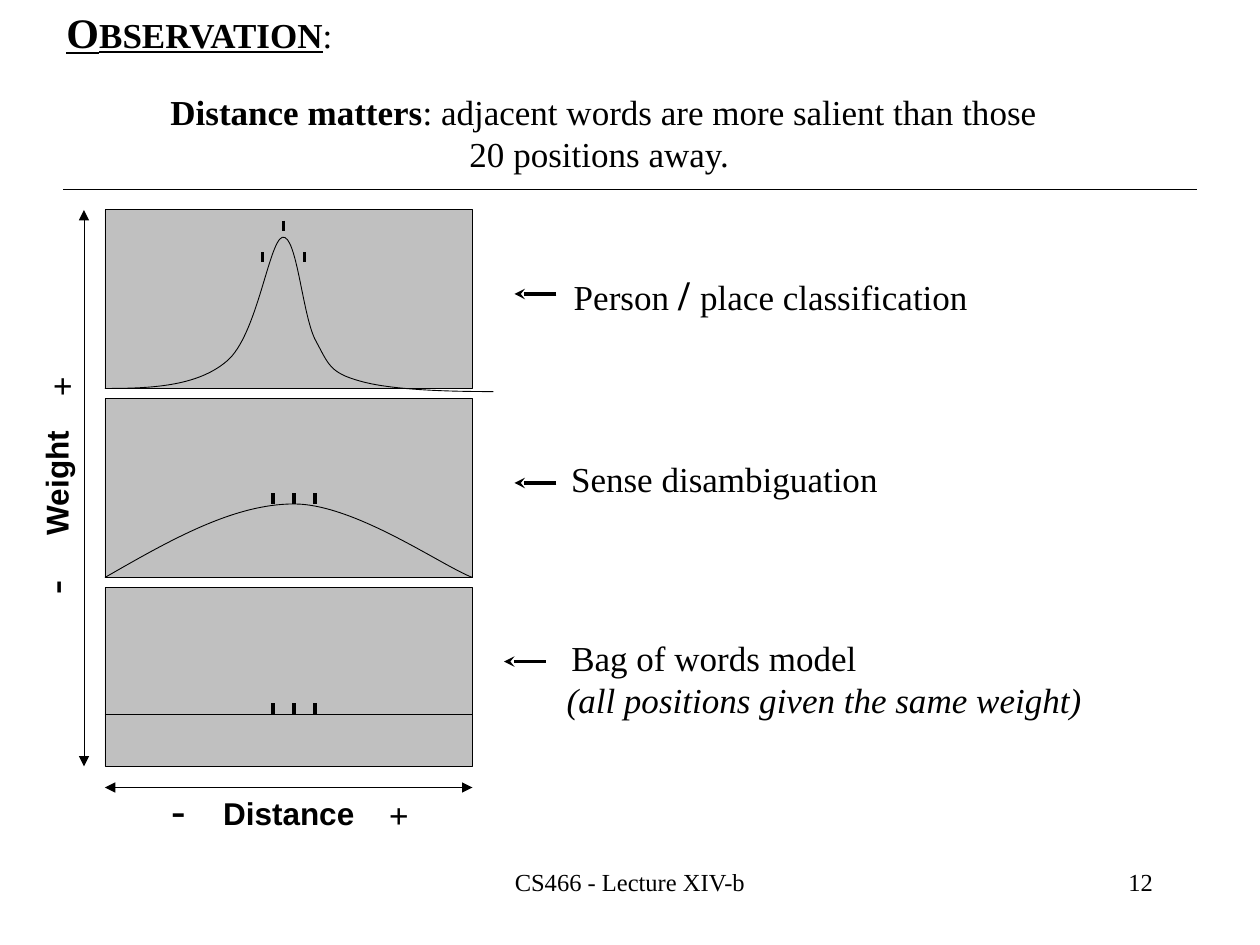
import dataclasses
import typing

import pptx
import pptx.dml.color
import pptx.enum.shapes
import pptx.enum.text
import pptx.oxml.ns
import pptx.util
from lxml import etree

PX = 7620  # EMU in one px, 120 px to the inch
BLACK = pptx.dml.color.RGBColor(0, 0, 0)
GREY = pptx.dml.color.RGBColor(0xC0, 0xC0, 0xC0)
SERIF, SANS = "Times New Roman", "Arial"
ALIGN = pptx.enum.text.PP_ALIGN
Point = tuple[int, int]

PLAIN = {"name": SERIF, "size": 20, "bold": False}
BOLD = PLAIN | {"bold": True}
LARGE = BOLD | {"size": 24}
AXIS = BOLD | {"name": SANS, "size": 18}
SMALL = PLAIN | {"size": 14}


@dataclasses.dataclass
class Label:
    box: tuple[int, int, int, int]
    runs: list[tuple[str, dict]]
    turn: int = 0
    align: typing.Any = ALIGN.CENTER


@dataclasses.dataclass
class Line:
    start: Point
    end: Point
    width: float = 0.5
    tip: str = ""


TITLE = Label((20, 0, 340, 60), [
    ("O", LARGE | {"underline": True}),
    ("BSERVATION", BOLD | {"underline": True}),
    (":", PLAIN),
])
CLAIM = Label((130, 80, 890, 92), [
    ("Distance matters", BOLD),
    (": adjacent words are more salient than those 20 positions away. ", PLAIN),
])
LABELS = [
    Label((-16, 436, 139, 48), [("Weight", AXIS)], 270),
    Label((30, 340, 60, 53), [("+", BOLD)]),
    Label((20, 529, 60, 60), [("-", LARGE)], 270),
    Label((170, 750, 210, 48), [("Distance", AXIS)]),
    Label((350, 750, 60, 53), [("+", BOLD)]),
    Label((140, 740, 60, 60), [("-", LARGE)]),
    Label((520, 250, 420, 60),
          [(" Person ", PLAIN), ("/ ", LARGE), ("place classification", PLAIN)]),
    Label((480, 430, 420, 53), [("Sense disambiguation", PLAIN)]),
    Label((470, 600, 420, 53), [("Bag of words model", PLAIN)]),
    Label((520, 640, 530, 53),
          [("(all positions given the same weight)", PLAIN | {"italic": True})]),
    Label((410, 820, 380, 60), [("CS466 - Lecture XIV-b", SMALL)]),
    Label((860, 820, 250, 60), [("12", SMALL)], align=ALIGN.RIGHT),
]

PANELS = [200, 380, 560]  # top edges
# Each curve: a start knot, then two handles and a knot per segment
PEAK = [(100, 370), (144, 367), (188, 365), (216, 341),
        (245, 317), (256, 227), (269, 223),
        (283, 220), (288, 299), (301, 322),
        (313, 344), (314, 352), (343, 360),
        (371, 368), (421, 370), (470, 370)]
HILL = [(100, 550), (161, 515), (222, 480), (280, 480),
        (338, 480), (421, 539), (450, 550)]
TICKS = [(250, 240), (270, 210), (290, 240)] + [
    (x, y) for y in (470, 670) for x in (260, 280, 300)]
MARKS = [(490, 280), (490, 460), (480, 630)]  # arrow tips

LINES = [
    Line((60, 180), (1140, 180)),
    Line((100, 680), (450, 680)),
    Line((80, 230), (80, 690)),
    Line((80, 690), (80, 730), tip="triangle"),
    Line((80, 230), (80, 200), tip="triangle"),
    Line((120, 750), (450, 750), tip="triangle"),
    Line((120, 750), (100, 750), tip="triangle"),
]
LINES += [Line((x, y), (x, y + 10), 2.25) for x, y in TICKS]
LINES += [Line((x + 40, y), (x, y), 2, "stealth") for x, y in MARKS]


def add_tag(parent, tag: str, **values: str):
    return etree.SubElement(parent, pptx.oxml.ns.qn(tag), **values)


def write(shape, label: Label) -> None:
    """Place a text shape and fill it with its formatted runs."""
    for key, value in zip(("left", "top", "width", "height"), label.box):
        setattr(shape, key, value * PX)
    shape.rotation = label.turn
    frame = shape.text_frame
    frame.word_wrap = True
    frame.auto_size = pptx.enum.text.MSO_AUTO_SIZE.NONE
    frame.vertical_anchor = pptx.enum.text.MSO_ANCHOR.TOP
    para = frame.paragraphs[0]
    para.alignment = label.align
    para.space_before = pptx.util.Pt(0)
    for text, style in label.runs:
        run = para.add_run()
        run.text = text
        run.font.color.rgb = BLACK
        for key, value in style.items():
            setattr(run.font, key, pptx.util.Pt(value) if key == "size" else value)


def strip_bullet(shape) -> None:
    props = shape.text_frame.paragraphs[0]._p.get_or_add_pPr()
    props.set("marL", "0")
    props.set("indent", "0")
    add_tag(props, "a:buNone")


def draw_line(shapes, line: Line) -> None:
    ends = [v * PX for v in line.start + line.end]
    shape = shapes.add_connector(pptx.enum.shapes.MSO_CONNECTOR.STRAIGHT, *ends)
    shape.line.color.rgb = BLACK
    shape.line.width = pptx.util.Pt(line.width)
    if line.tip:
        add_tag(shape.line._get_or_add_ln(), "a:tailEnd", type=line.tip)
    add_tag(shape._element.spPr, "a:effectLst")


def outline(shape) -> None:
    shape.shadow.inherit = False
    shape.line.color.rgb = BLACK
    shape.line.width = pptx.util.Pt(0.5)


def draw_panel(shapes, top: int) -> None:
    shape = shapes.add_shape(pptx.enum.shapes.MSO_SHAPE.RECTANGLE,
                             100 * PX, top * PX, 350 * PX, 170 * PX)
    shape.fill.solid()
    shape.fill.fore_color.rgb = GREY
    outline(shape)


def draw_curve(shapes, knots: list[Point]) -> None:
    """Build a freeform through the knots, then bend each segment."""
    pen = shapes.build_freeform(*knots[0], scale=PX)
    pen.add_line_segments(knots[3::3], close=False)
    shape = pen.convert_to_shape()
    shape.fill.background()
    outline(shape)
    left = min(x for x, _ in knots)
    top = min(y for _, y in knots)
    parts = list(shape._element.iter(pptx.oxml.ns.qn("a:lnTo")))
    for i, part in enumerate(parts):
        part.tag = pptx.oxml.ns.qn("a:cubicBezTo")
        for spot in list(part):
            part.remove(spot)
        for x, y in knots[3 * i + 1:3 * i + 4]:
            add_tag(part, "a:pt", x=str(x - left), y=str(y - top))


def main() -> None:
    deck = pptx.Presentation()
    deck.slide_width, deck.slide_height = 1200 * PX, 900 * PX
    slide = deck.slides.add_slide(deck.slide_layouts[1])
    shapes = slide.shapes
    body = slide.placeholders[1]
    strip_bullet(body)
    write(shapes.title, TITLE)
    write(body, CLAIM)
    for top in PANELS:
        draw_panel(shapes, top)
    for knots in (PEAK, HILL):
        draw_curve(shapes, knots)
    for line in LINES:
        draw_line(shapes, line)
    for label in LABELS:
        write(shapes.add_textbox(0, 0, 0, 0), label)
    deck.save("out.pptx")


if __name__ == "__main__":
    main()
